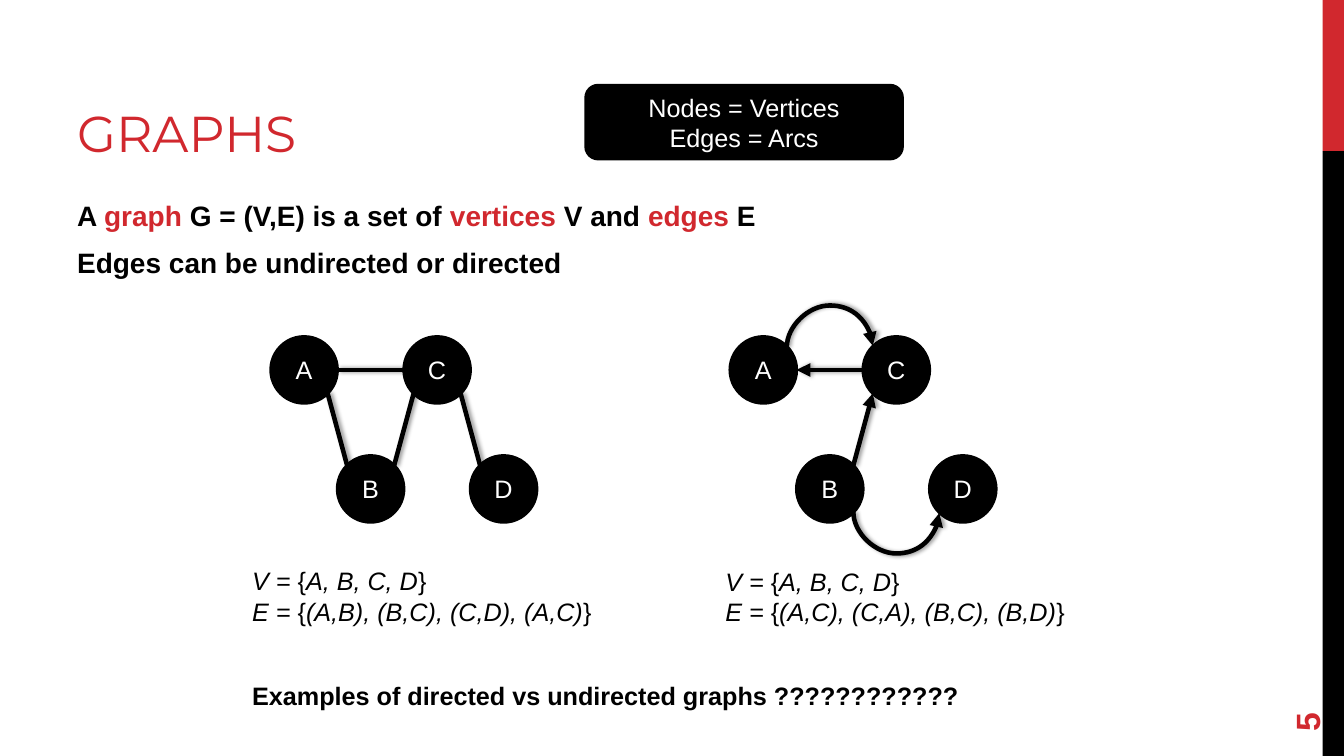
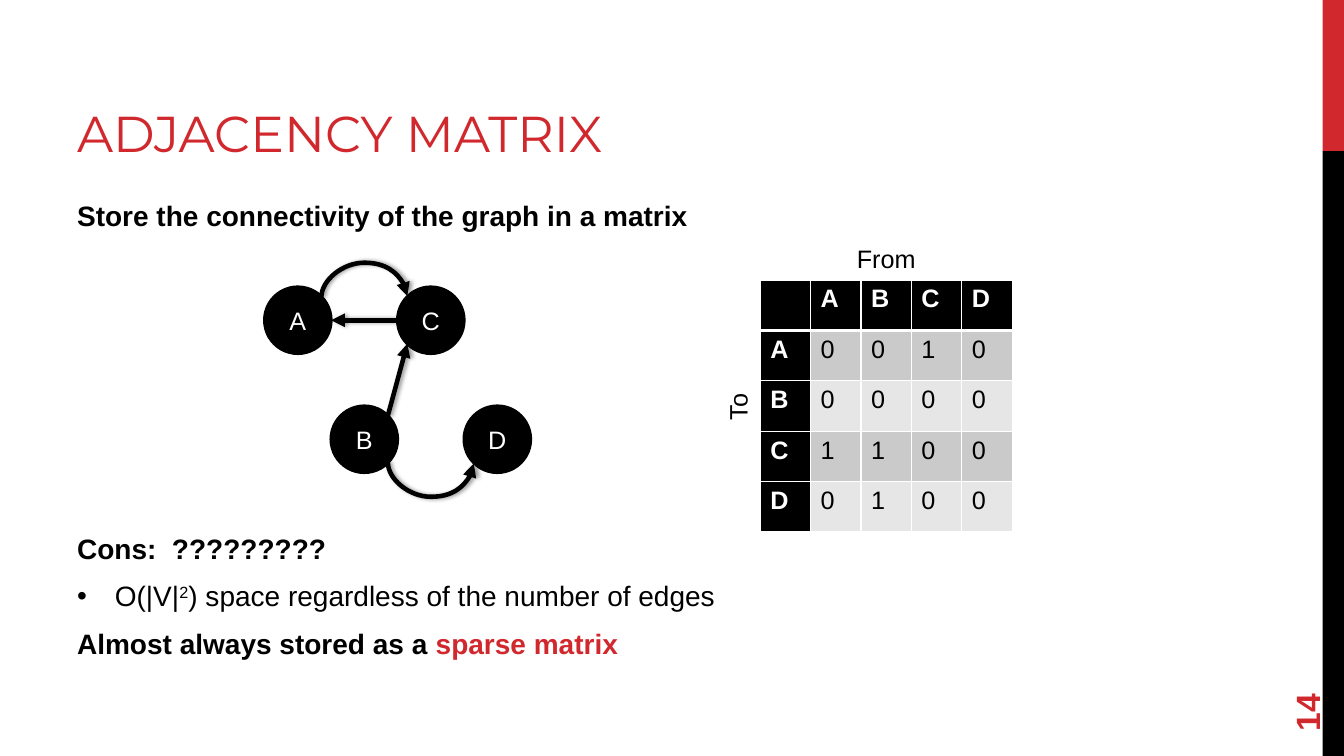
import math

from lxml import etree
from pptx import Presentation
from pptx import util as u
from pptx.dml import color
from pptx.enum import shapes, text
from pptx.oxml import ns

Pt = u.Pt
ANCHOR, ALIGN, SHAPE = text.MSO_ANCHOR, text.PP_ALIGN, shapes.MSO_SHAPE
COLORS = {
    "red": "D1282E",
    "black": "000000",
    "white": "FFFFFF",
    "dark_row": "CACACA",
    "light_row": "E6E6E6",
}
NODE = 47.5
NODE_OFFSETS = {"C": (95, 0), "B": (47.5, 85), "D": (142.5, 85), "A": (0, 0)}
TOP_LEFT, LEFT, BOTTOM_LEFT, BOTTOM_RIGHT, RIGHT, TOP_RIGHT = 1, 2, 3, 5, 6, 7


def rgb(name):
    return color.RGBColor.from_string(COLORS[name])


def add_xml(parent, tag, **attributes):
    child = etree.SubElement(parent, ns.qn(tag))
    for key, value in attributes.items():
        child.set(key, str(value))
    return child


def red(words):
    return words, {"tint": "red"}


def upright(words):
    return words, {"italic": False}


def set_lines(edges):
    return [["V = ", upright("{"), "A, B, C, D", upright("}")],
            ["E = ", upright("{"), edges, upright("}")]]


class SlideBuilder:
    def __init__(self):
        self.deck = Presentation()
        self.deck.slide_width, self.deck.slide_height = Pt(960), Pt(540)
        self.page = None

    def start(self, title, number):
        self.page = self.deck.slides.add_slide(self.deck.slide_layouts[6])
        self.shape(SHAPE.RECTANGLE, 944.7, 0, 15.3, 108, "red")
        self.shape(SHAPE.RECTANGLE, 944.7, 108, 15.3, 432, "black")
        self.label(48, 12, 608, 108, [[title]], size=36, tint="red",
                   face="Montserrat", anchor=ANCHOR.BOTTOM)
        self.label(881.5, 458.5, 103.5, 38, [[str(number)]], size=24, tint="red",
                   bold=True, anchor=ANCHOR.MIDDLE, turn=270)

    def put_text(self, frame, lines, anchor=ANCHOR.TOP, align=ALIGN.LEFT, gap=0,
                 bullets=(), **style):
        frame.word_wrap = True
        frame.vertical_anchor = anchor
        for index, line in enumerate(lines):
            para = frame.paragraphs[0] if index == 0 else frame.add_paragraph()
            para.alignment = align
            if index:
                para.space_before = Pt(gap)
            if index in bullets:
                properties = para._p.get_or_add_pPr()
                properties.set("marL", str(Pt(27)))
                properties.set("indent", str(-Pt(27)))
                add_xml(properties, "a:buFont", typeface="Arial")
                add_xml(properties, "a:buChar", char="•")
            for part in line:
                words, changes = (part, {}) if isinstance(part, str) else part
                self.span(para, words, **{**style, **changes})

    def span(self, para, words, size=18, tint="black", bold=False, italic=False,
             face="Arial", raised=False):
        span = para.add_run()
        span.text = words
        span.font.name, span.font.size = face, Pt(size)
        span.font.bold, span.font.italic = bold, italic
        span.font.color.rgb = rgb(tint)
        if raised:
            span._r.get_or_add_rPr().set("baseline", "30000")

    def label(self, left, top, width, height, lines, turn=0, **style):
        box = self.page.shapes.add_textbox(Pt(left), Pt(top), Pt(width), Pt(height))
        box.rotation = turn
        self.put_text(box.text_frame, lines, **style)

    def body(self, top, height, lines, **style):
        self.label(48, top, 800, height, lines, size=20, bold=True, gap=10, **style)

    def shape(self, kind, left, top, width, height, fill, lines=(), outline=0,
              parent=None):
        shape = (parent or self.page).shapes.add_shape(
            kind, Pt(left), Pt(top), Pt(width), Pt(height))
        shape.shadow.inherit = False
        shape.fill.solid()
        shape.fill.fore_color.rgb = rgb(fill)
        if outline:
            shape.line.color.rgb = rgb(fill)
            shape.line.width = Pt(outline)
        else:
            shape.line.fill.background()
        if lines:
            self.put_text(shape.text_frame, lines, anchor=ANCHOR.MIDDLE,
                          align=ALIGN.CENTER, tint="white")
        return shape

    def graph(self, left, top, edges, arcs=(), arrows=False, lift=25):
        group = self.page.shapes.add_group_shape()
        nodes = {}
        for name, (across, down) in NODE_OFFSETS.items():
            spot = left + across, top + down
            oval = self.shape(SHAPE.OVAL, *spot, NODE, NODE, "black", [[name]], 2.25,
                              group)
            nodes[name] = spot, oval.shape_id
        for start, end in arcs:
            self.arc(group, nodes, start, end, lift)
        for start, end in edges:
            ends = self.site(nodes, *start) + self.site(nodes, *end)
            line = group.shapes.add_connector(
                shapes.MSO_CONNECTOR.STRAIGHT, *map(Pt, ends))
            self.dress(line, arrows)

    def site(self, nodes, name, place):
        (left, top), _ = nodes[name]
        angle = math.radians(45 * place)
        radius = NODE / 2
        return (left + radius - radius * math.sin(angle),
                top + radius - radius * math.cos(angle))

    def arc(self, group, nodes, start, end, lift):
        x1, y = self.site(nodes, *start)
        x2, _ = self.site(nodes, *end)
        middle, half = (x1 + x2) / 2, (x2 - x1) / 2
        side = 0.5 if start[1] == BOTTOM_RIGHT else -0.5
        line = group.shapes.add_connector(
            shapes.MSO_CONNECTOR.CURVE, Pt(middle + side), Pt(y - half),
            Pt(middle - side), Pt(y + half))
        element = line._element
        element.find(".//" + ns.qn("a:xfrm")).set("rot", "16200000")
        adjust = element.find(".//" + ns.qn("a:avLst"))
        add_xml(adjust, "a:gd", name="adj1", fmla=f"val {lift * 100000}")
        links = element.find(".//" + ns.qn("p:cNvCxnSpPr"))
        for tag, (name, place) in (("a:stCxn", start), ("a:endCxn", end)):
            add_xml(links, tag, id=nodes[name][1], idx=place)
        self.dress(line, True)

    def dress(self, line, arrow):
        line.line.color.rgb = rgb("black")
        line.line.width = Pt(3.25)
        properties = line._element.spPr
        if arrow:
            add_xml(properties.find(ns.qn("a:ln")), "a:tailEnd", type="triangle")
        effects = add_xml(properties, "a:effectLst")
        shadow = add_xml(effects, "a:outerShdw", blurRad=Pt(3.1), dist=Pt(1.8),
                         dir=0, rotWithShape=0)
        shade = add_xml(shadow, "a:srgbClr", val=COLORS["black"])
        add_xml(shade, "a:alpha", val=40000)

    def matrix(self, left, top, cell_size, names, values):
        count = len(names) + 1
        side = Pt(cell_size * count)
        table = self.page.shapes.add_table(
            count, count, Pt(left), Pt(top), side, side).table
        table.first_row = table.horz_banding = False
        rows = [["", *names]] + [[name, *row] for name, row in zip(names, values)]
        for y, row in enumerate(rows):
            table.rows[y].height = table.columns[y].width = Pt(cell_size)
            for x, value in enumerate(row):
                heading = x == 0 or y == 0
                band = "dark_row" if y % 2 else "light_row"
                cell = table.cell(y, x)
                self.borders(cell, {"L": 1, "R": 1, "T": 3 if y == 1 else 1,
                                    "B": 3 if y == 0 else 1})
                cell.fill.solid()
                cell.fill.fore_color.rgb = rgb("black" if heading else band)
                if value != "":
                    self.put_text(cell.text_frame, [[str(value)]], bold=heading,
                                  tint="white" if heading else "black")

    def borders(self, cell, widths):
        properties = cell._tc.get_or_add_tcPr()
        for edge, width in widths.items():
            line = add_xml(properties, "a:ln" + edge, w=Pt(width))
            fill = add_xml(line, "a:solidFill")
            add_xml(fill, "a:srgbClr", val=COLORS["white"])


def main():
    directed = [(("C", LEFT), ("A", RIGHT)), (("B", TOP_RIGHT), ("C", BOTTOM_LEFT))]
    undirected = [(("A", RIGHT), ("C", LEFT)),
                  (("A", BOTTOM_RIGHT), ("B", TOP_LEFT)),
                  (("B", TOP_RIGHT), ("C", BOTTOM_LEFT)),
                  (("C", BOTTOM_RIGHT), ("D", TOP_LEFT))]
    arcs = [(("A", TOP_RIGHT), ("C", TOP_LEFT)),
            (("B", BOTTOM_RIGHT), ("D", BOTTOM_LEFT))]
    builder = SlideBuilder()

    builder.start("GRAPHS", 5)
    builder.body(138, 344, [
        ["A ", red("graph"), " G = (V,E) is a set of ", red("vertices"), " V and ",
         red("edges"), " E"],
        ["Edges can be undirected or directed"]])
    builder.graph(193.5, 240.5, undirected)
    builder.label(173, 400.5, 374, 50, set_lines("(A,B), (B,C), (C,D), (A,C)"),
                  italic=True)
    builder.graph(521.5, 240.5, directed, arcs, arrows=True, lift=30)
    builder.label(511, 401, 374, 50, set_lines("(A,C), (C,A), (B,C), (B,D)"),
                  italic=True)
    builder.label(173, 482.5, 582, 29,
                  [["Examples of directed vs undirected graphs ????????????"]],
                  bold=True)
    builder.shape(SHAPE.ROUNDED_RECTANGLE, 418.5, 61, 226, 52.5, "black",
                  [["Nodes = Vertices"], ["Edges = Arcs"]], 2.25)

    builder.start("ADJACENCY MATRIX", 14)
    builder.body(138, 32, [["Store the connectivity of the graph in a matrix"]])
    builder.body(376, 106, [
        ["Cons:  ?????????"],
        [("O(|V|", {"bold": False}), ("2", {"bold": False, "raised": True}),
         (") space regardless of the number of edges", {"bold": False})],
        ["Almost always stored as a ", red("sparse matrix")]], bullets=(1,))
    builder.graph(189, 205, directed, arcs, arrows=True)
    builder.matrix(543, 200, 36, "ABCD",
                   [[0, 0, 1, 0], [0, 0, 0, 0], [1, 1, 0, 0], [0, 1, 0, 0]])
    builder.label(543, 170, 180, 29, [["From"]], align=ALIGN.CENTER)
    builder.label(437, 276, 180, 29, [["To"]], align=ALIGN.CENTER, turn=270)
    builder.deck.save("out.pptx")


if __name__ == "__main__":
    main()
